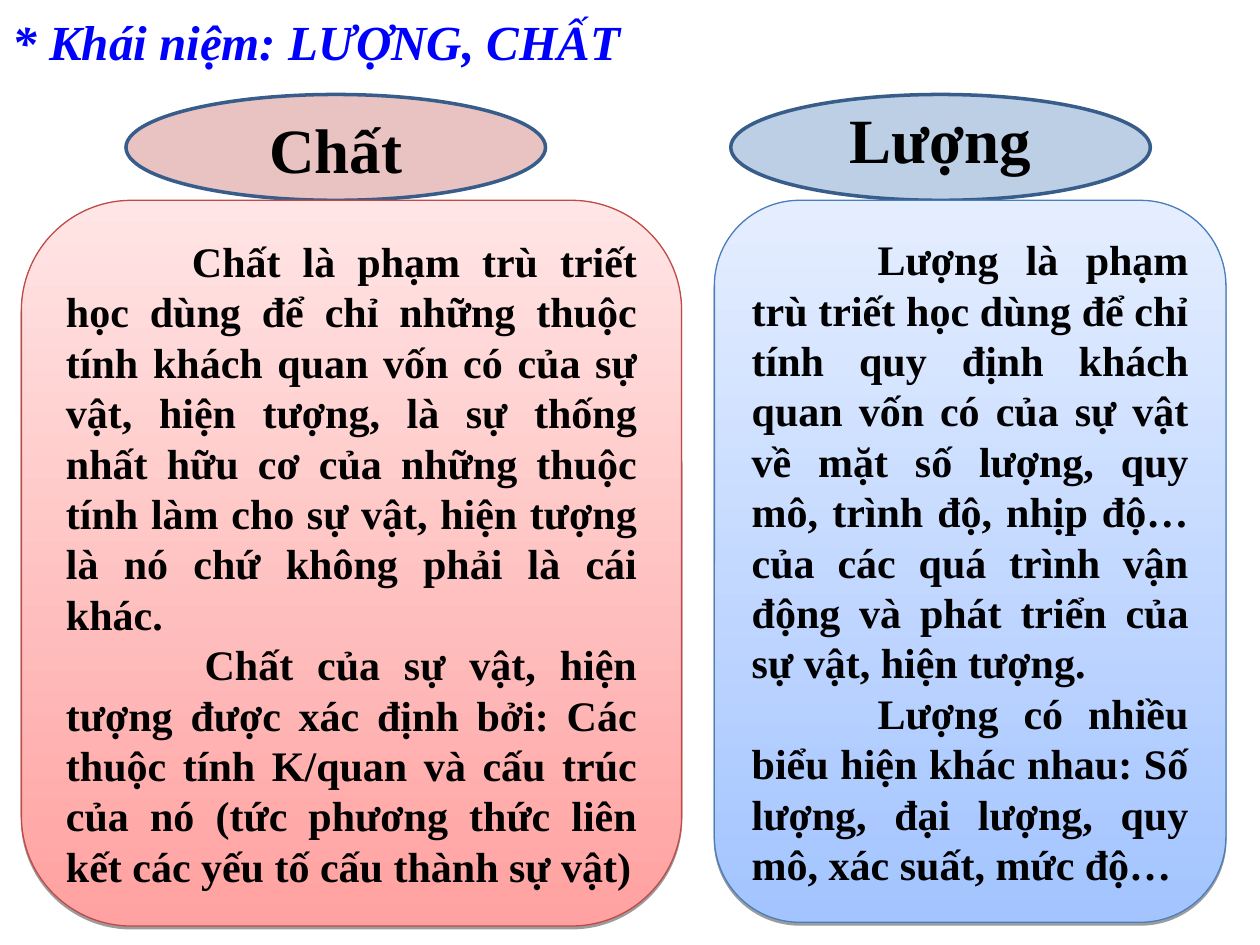
from lxml import etree
from pptx import Presentation
from pptx.dml.color import RGBColor
from pptx.enum.shapes import MSO_SHAPE
from pptx.enum.text import MSO_ANCHOR, PP_ALIGN
from pptx.oxml.ns import qn
from pptx.util import Inches, Pt

OVAL = MSO_SHAPE.OVAL
ROUNDED = MSO_SHAPE.ROUNDED_RECTANGLE
TOP, MIDDLE = MSO_ANCHOR.TOP, MSO_ANCHOR.MIDDLE
LEFT, CENTER, JUSTIFY = PP_ALIGN.LEFT, PP_ALIGN.CENTER, PP_ALIGN.JUSTIFY

FONT = "Times New Roman"
COLORS = {
    "title": "0000FF", "text": "000000", "oval_line": "385D8A",
    "quality_oval": "D99694", "quality_dark": "FFA2A1",
    "quality_light": "FFE5E5", "quality_line": "BE4B48",
    "quantity_oval": "4F81BD", "quantity_dark": "A3C4FF",
    "quantity_light": "E5EEFF", "quantity_line": "4A7EBB",
}
CONCEPTS = [
    {
        "key": "quality", "heading": "Chất", "opacity": 57,
        "oval": (1, 0.75, 3.33, 0.84), "label_drop": 0.08,
        "panel": (0.17, 1.59, 5.24, 5.76),
        "definition": [
            (1, "Chất là phạm trù triết học dùng để chỉ những thuộc tính khách quan vốn có của sự vật, hiện tượng, là sự thống nhất hữu cơ của những thuộc tính làm cho sự vật, hiện tượng là nó chứ không phải là cái khác."),
            (1.1, "Chất của sự vật, hiện tượng được xác định bởi: Các thuộc tính K/quan và cấu trúc của nó (tức phương thức liên kết các yếu tố cấu thành sự vật)"),
        ],
    },
    {
        "key": "quantity", "heading": "Lượng", "opacity": 38,
        "oval": (5.8, 0.75, 3.33, 0.84), "label_drop": 0,
        "panel": (5.67, 1.59, 4.06, 5.73),
        "definition": [
            (1, "Lượng là phạm trù triết học dùng để chỉ tính quy định khách quan vốn có của sự vật về mặt số lượng, quy mô, trình độ, nhịp độ… của các quá trình vận động và phát triển của sự vật, hiện tượng."),
            (1, "Lượng có nhiều biểu hiện khác nhau: Số lượng, đại lượng, quy mô, xác suất, mức độ…"),
        ],
    },
]


def color(name):
    return RGBColor.from_string(COLORS[name])


def inches(box):
    return [Inches(length) for length in box]


def format_paragraph(paragraph, size, align, ink="text", italic=False):
    paragraph.alignment = align
    paragraph.space_before = Pt(0)
    font = paragraph.font
    font.name, font.size, font.bold, font.italic = FONT, Pt(size), True, italic
    font.color.rgb = color(ink)


def add_title(slide, box):
    title = slide.shapes.title
    title.left, title.top, title.width, title.height = inches(box)
    title.text_frame.text = "* Khái niệm: LƯỢNG, CHẤT"
    title.text_frame.vertical_anchor = TOP
    format_paragraph(title.text_frame.paragraphs[0], 28, LEFT, "title", True)


def add_oval(slide, box, concept):
    oval = slide.shapes.add_shape(OVAL, *inches(box))
    oval.shadow.inherit = False
    oval.fill.solid()
    oval.fill.fore_color.rgb = color(concept["key"] + "_oval")
    tint = oval._element.spPr.find(qn("a:solidFill")).find(qn("a:srgbClr"))
    etree.SubElement(tint, qn("a:alpha"), val=str(concept["opacity"] * 1000))
    oval.line.color.rgb = color("oval_line")
    oval.line.width = Pt(2)


def add_heading(slide, box, concept):
    left, top, width, _ = box
    heading = slide.shapes.add_textbox(
        *inches((left, top + concept["label_drop"], width, 0.7)))
    heading.text_frame.word_wrap = True
    heading.text_frame.text = concept["heading"]
    format_paragraph(heading.text_frame.paragraphs[0], 36, CENTER)


def add_drop_shadow(panel):
    panel.shadow.inherit = False
    effects = panel._element.spPr.find(qn("a:effectLst"))
    shadow = etree.SubElement(effects, qn("a:outerShdw"), blurRad="0",
                              dist=str(Pt(1.6)), dir="5400000",
                              rotWithShape="0")
    shade = etree.SubElement(shadow, qn("a:srgbClr"), val=COLORS["text"])
    etree.SubElement(shade, qn("a:alpha"), val="38000")


def add_definition(slide, box, concept):
    key = concept["key"]
    panel = slide.shapes.add_shape(ROUNDED, *inches(box))
    panel.fill.gradient()
    panel.fill.gradient_angle = 90
    for stop, tone in zip(panel.fill.gradient_stops, ("_dark", "_light")):
        stop.color.rgb = color(key + tone)
    panel.line.color.rgb = color(key + "_line")
    panel.line.width = Pt(0.75)
    add_drop_shadow(panel)
    frame = panel.text_frame
    frame.word_wrap = True
    frame.vertical_anchor = MIDDLE
    for index, (indent, sentence) in enumerate(concept["definition"]):
        paragraph = frame.add_paragraph() if index else frame.paragraphs[0]
        paragraph.text = sentence
        paragraph._p.get_or_add_pPr().set("indent", str(Inches(indent)))
        format_paragraph(paragraph, 24, JUSTIFY)


def add_concept(slide, concept):
    add_oval(slide, concept["oval"], concept)
    add_definition(slide, concept["panel"], concept)
    add_heading(slide, concept["oval"], concept)


def main():
    deck = Presentation()
    deck.slide_width, deck.slide_height = Inches(10), Inches(7.5)
    slide = deck.slides.add_slide(deck.slide_layouts[5])
    add_title(slide, (0, 0.04, 8.32, 0.8))
    for concept in CONCEPTS:
        add_concept(slide, concept)
    deck.save("out.pptx")


if __name__ == "__main__":
    main()
